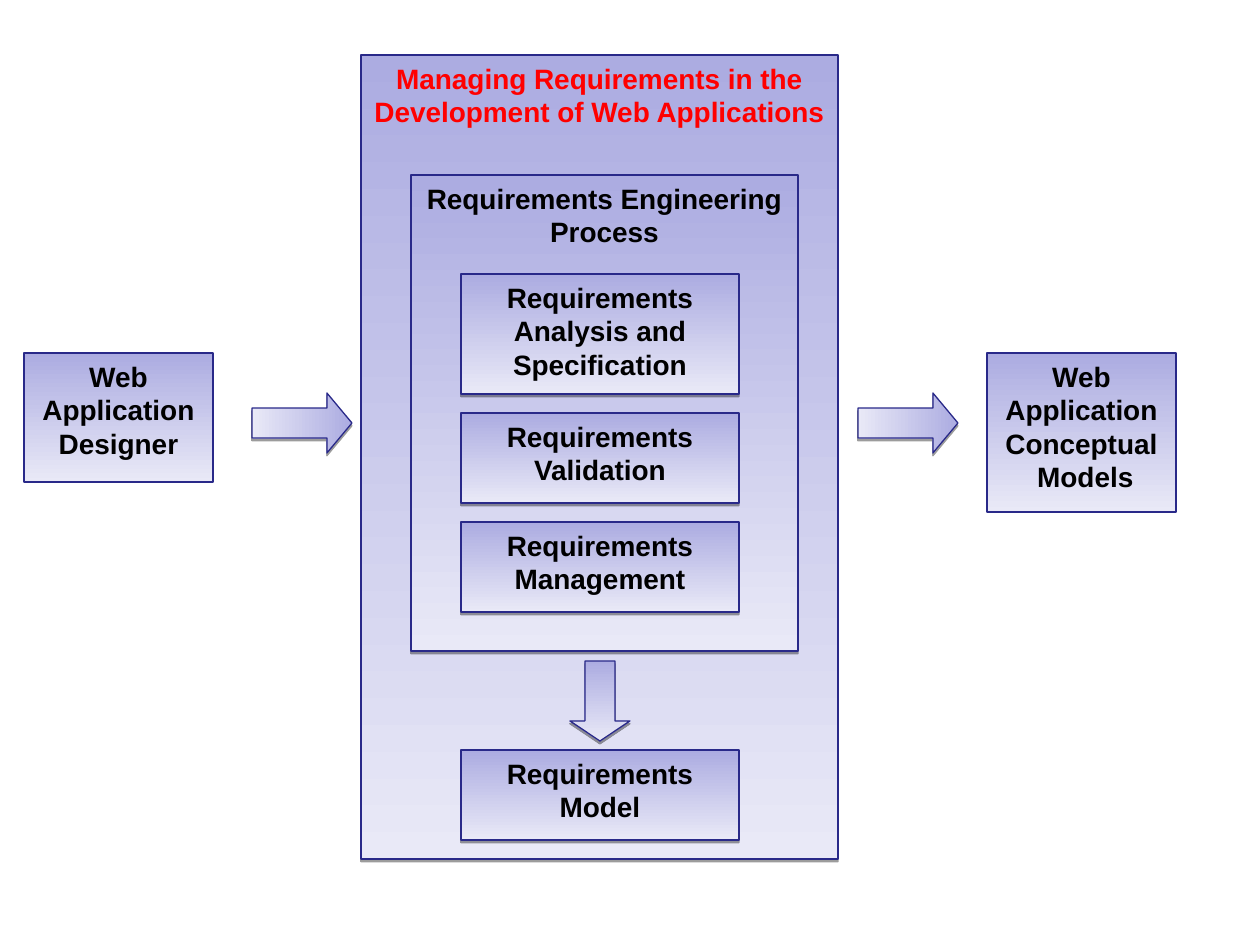
import pptx
import pptx.util
import pptx.dml.color
import pptx.enum.shapes
import pptx.enum.text
import pptx.oxml
import pptx.oxml.ns

PX = 914400 / 126
PRESET = pptx.enum.shapes.MSO_SHAPE
LAVENDER = pptx.dml.color.RGBColor(0xAC, 0xAC, 0xE1)
PALE = pptx.dml.color.RGBColor(0xE9, 0xE9, 0xF7)
NAVY = pptx.dml.color.RGBColor(0x29, 0x29, 0x89)
BLACK = pptx.dml.color.RGBColor(0, 0, 0)
RED = pptx.dml.color.RGBColor(0xFF, 0, 0)

SHADOW = (
    f'<a:outerShdw {pptx.oxml.ns.nsdecls("a")} blurRad="0" dist="20000" dir="5400000" '
    'rotWithShape="0"><a:srgbClr val="000000"><a:alpha val="38000"/></a:srgbClr></a:outerShdw>'
)


def px(length):
    return pptx.util.Emu(round(length * PX))


def add_shape(page, preset, left, top, width, height, shadow=True, angle=270):
    """Add a gradient shape; angle is counter-clockwise, from dark to light."""
    shape = page.shapes.add_shape(preset, px(left), px(top), px(width), px(height))
    shape.fill.gradient()
    shape.fill.gradient_angle = angle
    for stop, colour in zip(shape.fill.gradient_stops, (LAVENDER, PALE)):
        stop.color.rgb = colour
    shape.line.color.rgb = NAVY
    shape.line.width = pptx.util.Pt(0.75)
    shape.shadow.inherit = False
    if shadow:
        effects = shape._element.spPr.find(pptx.oxml.ns.qn("a:effectLst"))
        effects.append(pptx.oxml.parse_xml(SHADOW))
    return shape


def add_box(page, text, left, top, width, height, colour=BLACK, shadow=True):
    box = add_shape(page, PRESET.RECTANGLE, left, top, width, height, shadow)
    frame = box.text_frame
    frame.word_wrap = True
    frame.vertical_anchor = pptx.enum.text.MSO_ANCHOR.TOP
    frame.text = text
    for para in frame.paragraphs:
        para.alignment = pptx.enum.text.PP_ALIGN.CENTER
        for span in para.runs:
            span.font.name = "Arial"
            span.font.size = pptx.util.Pt(16)
            span.font.bold = True
            span.font.color.rgb = colour


def add_down_arrow(page, left, top, width, height, head):
    arrow = add_shape(page, PRESET.DOWN_ARROW, left, top, width, height)
    arrow.adjustments[1] = head


def add_right_arrow(page, left, top, width, height):
    """Add a down arrow turned to the right, its gradient fixed to the page."""
    arrow = add_shape(page, PRESET.DOWN_ARROW, left, top, width, height, angle=180)
    arrow.adjustments[1] = 0.417
    arrow.rotation = 270
    gradient = arrow._element.spPr.find(pptx.oxml.ns.qn("a:gradFill"))
    gradient.set("rotWithShape", "0")


def add_steps(page, left, top, width, gap):
    steps = (
        ("Requirements Analysis and Specification", 120),
        ("Requirements Validation", 90),
        ("Requirements Management", 90),
    )
    for text, height in steps:
        add_box(page, text, left, top, width, height)
        top += height + gap


def main():
    deck = pptx.Presentation()
    deck.slide_width, deck.slide_height = px(1260), px(945)
    page = deck.slides.add_slide(deck.slide_layouts[6])

    add_box(page, "Managing Requirements in the Development of Web Applications",
            361, 55, 477, 804, colour=RED)
    add_box(page, "Requirements Engineering Process", 411, 175, 387, 476)
    add_steps(page, left=461, top=274, width=278, gap=19)
    add_box(page, "Requirements Model", 461, 750, 278, 90)
    add_down_arrow(page, 570, 661, 60, 80, head=0.334)
    for left in (878, 272):
        add_right_arrow(page, left, 373, 60, 100)
    add_box(page, "Web\nApplication\nConceptual\n Models", 987, 353, 189, 159, shadow=False)
    add_box(page, "Web\nApplication\nDesigner", 24, 353, 189, 129, shadow=False)

    deck.save("out.pptx")


if __name__ == "__main__":
    main()
